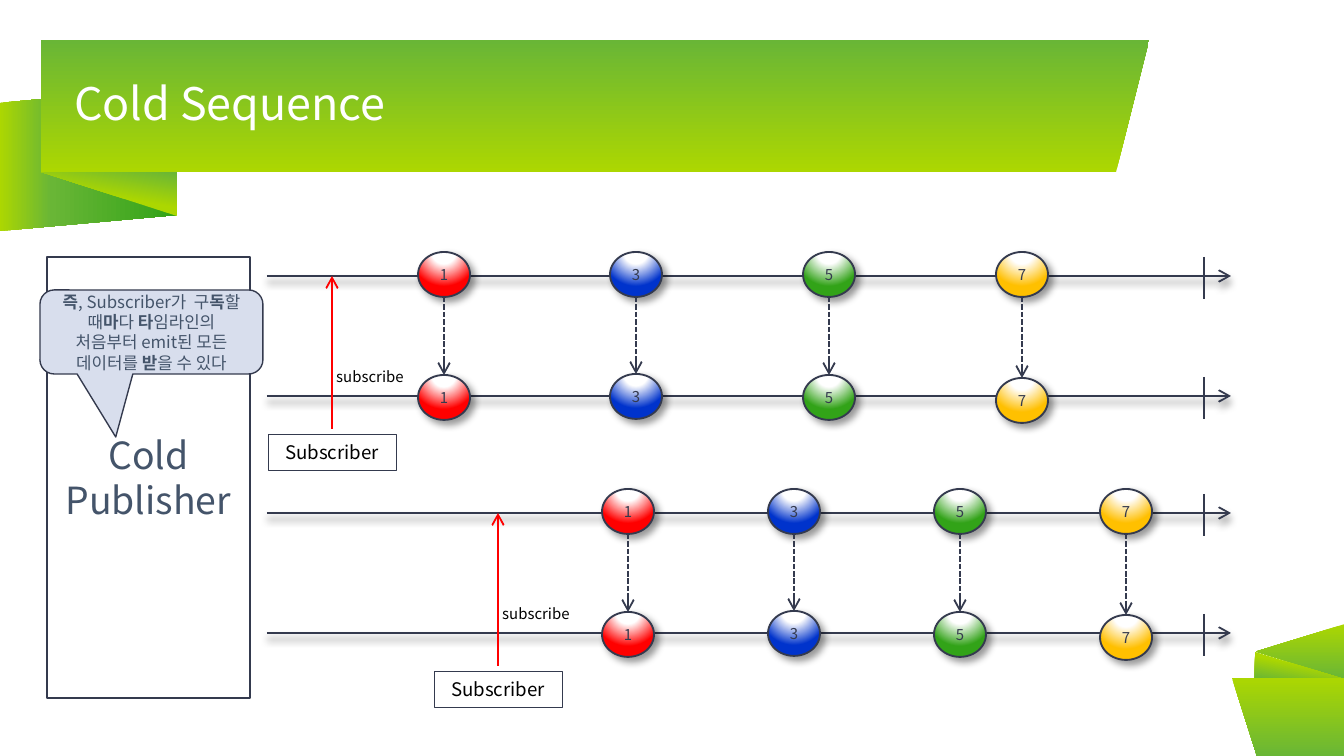
from dataclasses import dataclass

from lxml import etree
from pptx import Presentation
from pptx.dml.color import RGBColor
from pptx.enum.dml import MSO_LINE
from pptx.enum.shapes import MSO_CONNECTOR, MSO_SHAPE
from pptx.enum.text import MSO_ANCHOR, PP_ALIGN
from pptx.oxml import parse_xml
from pptx.oxml.ns import nsdecls, qn
from pptx.util import Emu, Pt

STRAIGHT = MSO_CONNECTOR.STRAIGHT
SYSTEM_DASH = MSO_LINE.SQUARE_DOT
RECTANGLE = MSO_SHAPE.RECTANGLE
TRIANGLE = MSO_SHAPE.ISOSCELES_TRIANGLE
RIGHT_TRIANGLE = MSO_SHAPE.RIGHT_TRIANGLE
PARALLELOGRAM = MSO_SHAPE.PARALLELOGRAM
CALLOUT = MSO_SHAPE.ROUNDED_RECTANGULAR_CALLOUT
CIRCLE = MSO_SHAPE.FLOWCHART_CONNECTOR
LEFT, CENTER = PP_ALIGN.LEFT, PP_ALIGN.CENTER
MIDDLE = MSO_ANCHOR.MIDDLE

EMU_PER_PX = 914400 / 134.4


def px(length):
    return Emu(round(length * EMU_PER_PX))


@dataclass(frozen=True)
class Theme:
    font: str = "Noto Sans CJK KR"
    white: str = "FFFFFF"
    black: str = "000000"
    outline: str = "343A4E"
    text: str = "44546A"
    callout: str = "D8DEED"
    lime: str = "ACD701"
    leaf: str = "69B636"
    green: str = "32A318"
    red: str = "FF0000"
    blue: str = "0033CC"
    yellow: str = "FFC000"
    title_size: int = 24
    publisher_size: int = 20
    subscriber_size: int = 10
    callout_size: int = 9
    small_size: int = 8


class SlideBuilder:
    def __init__(self, slide, theme):
        self.slide = slide
        self.theme = theme

    def shape(self, kind, box, fill=None, line=None, width=1, adjustments=()):
        shape = self.slide.shapes.add_shape(kind, *map(px, box))
        shape.shadow.inherit = False
        for index, value in enumerate(adjustments):
            shape.adjustments[index] = value
        if fill:
            shape.fill.solid()
            shape.fill.fore_color.rgb = RGBColor.from_string(fill)
        else:
            shape.fill.background()
        if line:
            shape.line.color.rgb = RGBColor.from_string(line)
            shape.line.width = Pt(width)
        else:
            shape.line.fill.background()
        return shape

    def gradient(self, shape, stops, direction):
        marks = "".join(f'<a:gs pos="{position * 1000}"><a:srgbClr val="{color}"/></a:gs>'
                        for position, color in stops)
        properties = shape._element.spPr
        properties.replace(properties.find(qn("a:noFill")), parse_xml(
            f'<a:gradFill {nsdecls("a")} rotWithShape="1">'
            f"<a:gsLst>{marks}</a:gsLst>{direction}</a:gradFill>"))

    def ribbon(self, kind, box, stops, angle, rotation=0, flip=False, adjustments=()):
        shape = self.shape(kind, box, adjustments=adjustments)
        self.gradient(shape, stops, f'<a:lin ang="{angle * 60000}" scaled="0"/>')
        shape.rotation = rotation
        if flip:
            shape._element.spPr.find(qn("a:xfrm")).set("flipH", "1")

    def shadow(self, shape, angle):
        effects = shape._element.spPr.find(qn("a:effectLst"))
        effects.append(parse_xml(
            f'<a:outerShdw {nsdecls("a")} blurRad="{Pt(4)}" dist="{Pt(3)}" '
            f'dir="{angle * 60000}" algn="tl" rotWithShape="0">'
            f'<a:srgbClr val="{self.theme.black}"><a:alpha val="40000"/></a:srgbClr>'
            "</a:outerShdw>"))

    def add_text(self, shape, runs, size, color, align=CENTER, inset=True, spacing=None):
        """Fill a shape with one paragraph of (text, bold) runs."""
        frame = shape.text_frame
        frame.word_wrap = True
        frame.vertical_anchor = MIDDLE
        if not inset:
            frame.margin_left = frame.margin_right = 0
            frame.margin_top = frame.margin_bottom = 0
        paragraph = frame.paragraphs[0]
        paragraph.alignment = align
        if spacing:
            paragraph.line_spacing = spacing
        for text, bold in runs:
            run = paragraph.add_run()
            run.text = text
            run.font.size = Pt(size)
            run.font.bold = bold
            run.font.color.rgb = RGBColor.from_string(color)
            run.font.name = self.theme.font
            etree.SubElement(run._r.rPr, qn("a:ea")).set("typeface", self.theme.font)

    def text_box(self, box, text, size, color, **style):
        shape = self.slide.shapes.add_textbox(*map(px, box))
        self.add_text(shape, [(text, False)], size, color, **style)

    def line(self, start, end, color, arrow=True, dashed=False, shadow=False):
        connector = self.slide.shapes.add_connector(STRAIGHT, *map(px, start + end))
        connector.line.color.rgb = RGBColor.from_string(color)
        connector.line.width = Pt(1)
        if dashed:
            connector.line.dash_style = SYSTEM_DASH
        properties = connector._element.spPr
        if arrow:
            outline = properties.find(qn("a:ln"))
            etree.SubElement(outline, qn("a:tailEnd")).set("type", "arrow")
        etree.SubElement(properties, qn("a:effectLst"))
        if shadow:
            self.shadow(connector, 90)

    def timeline(self, y):
        color = self.theme.outline
        self.line((267, y), (1231, y), color, shadow=True)
        self.line((1204, y - 19), (1204, y + 23), color, arrow=False)

    def marble(self, left, top, label, color):
        theme = self.theme
        shape = self.shape(CIRCLE, (left, top, 52, 45), line=theme.outline)
        self.gradient(
            shape, [(0, theme.white), (35, theme.white), (100, color)],
            '<a:path path="circle"><a:fillToRect l="50000" t="-80000" '
            'r="50000" b="180000"/></a:path>')
        self.shadow(shape, 45)
        self.add_text(shape, [(label, False)], theme.small_size, theme.outline, inset=False)

    def sequence(self, y, subscribe_x, first, last):
        """Draw a source timeline, its subscriber timeline and the values passed down."""
        theme = self.theme
        self.timeline(y)
        self.timeline(y + 120)
        marbles = [("1", theme.red, 99), ("3", theme.blue, 98),
                   ("5", theme.green, 99), ("7", theme.yellow, 102)]
        for index, (label, color, drop) in enumerate(marbles):
            left = first + (last - first) * index // (len(marbles) - 1)
            self.marble(left, y - 24, label, color)
            self.marble(left, y + drop, label, color)
            self.line((left + 26, y + 21), (left + 26, y + drop), theme.outline, dashed=True)
        subscriber = self.shape(RECTANGLE, (subscribe_x - 64, y + 158, 128, 36),
                                line=theme.outline, width=0.25)
        self.add_text(subscriber, [("Subscriber", False)], theme.subscriber_size, theme.black)
        self.line((subscribe_x, y + 153), (subscribe_x, y), theme.red)
        self.text_box((subscribe_x - 26, y + 84, 128, 32), "subscribe",
                      theme.small_size, theme.black)


def main():
    presentation = Presentation()
    presentation.slide_width, presentation.slide_height = px(1344), px(756)
    slide = presentation.slides.add_slide(presentation.slide_layouts[6])
    theme = Theme()
    builder = SlideBuilder(slide, theme)

    # Ribbon behind the title
    band = [(0, theme.lime), (100, theme.leaf)]
    fold = [(0, theme.lime), (47, theme.lime), (100, theme.leaf)]
    tail = [(0, theme.lime), (29, theme.leaf), (100, theme.green)]
    builder.ribbon(PARALLELOGRAM, (16, 71, 144, 176), tail, 90, 270, True, [0.11])
    builder.ribbon(RIGHT_TRIANGLE, (41, 172, 136, 44), fold, 100, 180)
    builder.ribbon(RECTANGLE, (41, 40, 1075, 132), band, 90, 180, True)
    builder.ribbon(TRIANGLE, (1116, 40, 33, 132), band, 90, 180, adjustments=[1])

    # Ribbon in the lower right corner
    builder.ribbon(TRIANGLE, (1273, 607, 55, 89), band, 180, 270)
    builder.ribbon(RIGHT_TRIANGLE, (1255, 652, 89, 27), fold, 100)
    builder.ribbon(RECTANGLE, (1257, 678, 87, 78), band, 270, 180)
    builder.ribbon(TRIANGLE, (1232, 678, 25, 78), band, 270, 180, True, [1])

    # Title
    builder.text_box((74, 40, 1062, 132), "Cold Sequence", theme.title_size, theme.white,
                     align=LEFT, inset=False, spacing=0.9)

    # Publisher and its remark
    publisher = builder.shape(RECTANGLE, (47, 257, 203, 441), line=theme.outline, width=0.75)
    builder.add_text(publisher, [("Cold Publisher", False)], theme.publisher_size, theme.text)
    remark = builder.shape(CALLOUT, (40, 290, 223, 84), theme.callout, theme.outline, 0.75,
                           [-0.16, 1.25, 0.17])
    builder.add_text(remark, [
        ("즉", True), (", Subscriber가  구", False), ("독", True), ("할 때", False),
        ("마", True), ("다 ", False), ("타", True),
        ("임라인의 처음부터 emit된 모든 데이터를 ", False), ("받", True),
        ("을 수 있다", False)], theme.callout_size, theme.text)

    # Early and late subscription
    builder.sequence(276, subscribe_x=332, first=418, last=996)
    builder.sequence(513, subscribe_x=498, first=602, last=1100)

    presentation.save("out.pptx")


if __name__ == "__main__":
    main()
